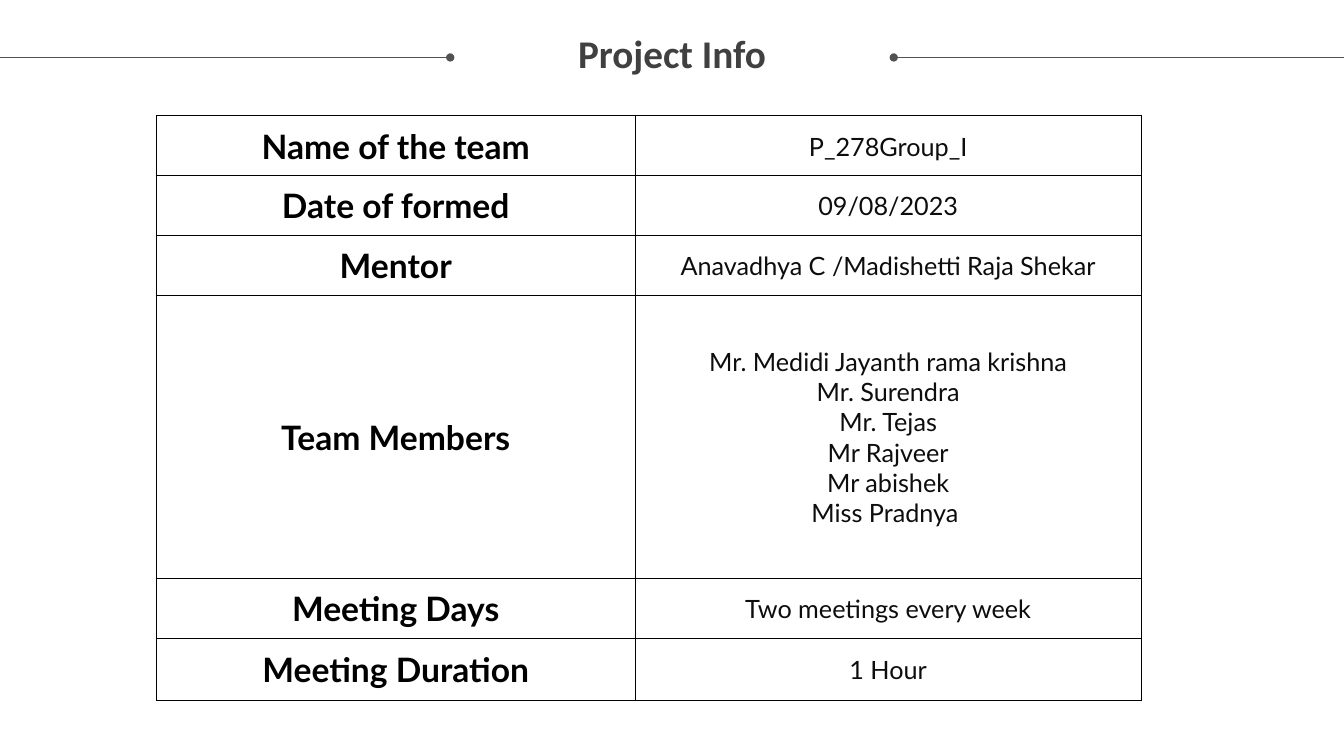
from lxml.etree import SubElement
from pptx import Presentation
from pptx.dml.color import RGBColor
from pptx.enum.shapes import MSO_CONNECTOR
from pptx.enum.text import MSO_ANCHOR, MSO_AUTO_SIZE, PP_ALIGN
from pptx.oxml import parse_xml
from pptx.oxml.ns import nsdecls, qn
from pptx.util import Inches, Pt


def color(hex_string):
    return RGBColor.from_string(hex_string)


class SlideBuilder:
    """Holds the style and the slide; lengths are percent of the slide's size."""
    TITLE_FONT, BODY_FONT = "Calibri", "Lato"
    TITLE, RULE, LABEL, VALUE, BORDER = "404040", "525252", "000000", "0D0D0D", "000000"

    def __init__(self, prs):
        self.prs = prs
        self.s = prs.slides.add_slide(prs.slide_layouts[6])

    def x(self, share):
        return round(self.prs.slide_width * share / 100)

    def y(self, share):
        return round(self.prs.slide_height * share / 100)

    def run(self, p, text, font, size, hex_string, bold):
        r = p.add_run()
        r.text = text
        r.font.name, r.font.size, r.font.bold = font, Pt(size), bold
        r.font.color.rgb = color(hex_string)

    def title(self, text, left, top, width, height):
        tf = self.s.shapes.add_textbox(
            self.x(left), self.y(top), self.x(width), self.y(height)).text_frame
        tf.word_wrap = True
        tf.auto_size = MSO_AUTO_SIZE.SHAPE_TO_FIT_TEXT
        tf.margin_left = tf.margin_top = tf.margin_right = tf.margin_bottom = 0
        p = tf.paragraphs[0]
        p.alignment, p.line_spacing = PP_ALIGN.CENTER, 0.9
        self.run(p, text, self.TITLE_FONT, 28, self.TITLE, True)

    def rule(self, start, end, top, dot):
        line = self.s.shapes.add_connector(
            MSO_CONNECTOR.STRAIGHT, self.x(start), self.y(top), self.x(end), self.y(top))
        line.line.color.rgb = color(self.RULE)
        line.line.width = Pt(0.5)
        SubElement(line.line._get_or_add_ln(), qn(f"a:{dot}"), type="oval")
        SubElement(line._element.spPr, qn("a:effectLst"))

    def borders(self, cell, widths):
        tcPr = cell._tc.get_or_add_tcPr()
        for i, (side, width) in enumerate(zip("LRTB", widths)):
            tcPr.insert(i, parse_xml(
                f'<a:ln{side} {nsdecls("a")} w="{Pt(width)}"><a:solidFill>'
                f'<a:srgbClr val="{self.BORDER}"/></a:solidFill></a:ln{side}>'))

    def fill_cell(self, cell, paragraphs, size, hex_string, bold):
        cell.fill.background()
        cell.vertical_anchor = MSO_ANCHOR.MIDDLE
        cell.margin_left = cell.margin_top = cell.margin_right = Inches(0.01)
        cell.margin_bottom = 0
        tf = cell.text_frame
        for i, lines in enumerate(paragraphs):
            p = tf.add_paragraph() if i else tf.paragraphs[0]
            p.alignment = PP_ALIGN.CENTER
            for j, line in enumerate(lines.split("\n")):
                if j:
                    p.add_line_break()
                self.run(p, line, self.BODY_FONT, size, hex_string, bold)

    def table(self, rows, left, top, columns, heights):
        table = self.s.shapes.add_table(
            len(rows), len(columns), self.x(left), self.y(top),
            self.x(sum(columns)), self.y(sum(heights))).table
        table.first_row = table.horz_banding = False
        for column, width in zip(table.columns, columns):
            column.width = self.x(width)
        last = len(rows) - 1
        for i, (label, *values) in enumerate(rows):
            table.rows[i].height = self.y(heights[i])
            name, value = table.cell(i, 0), table.cell(i, 1)
            self.fill_cell(name, [label], 24, self.LABEL, True)
            self.fill_cell(value, values, 18, self.VALUE, False)
            # Outer edges are heavier than inner ones
            above, below = 1 if i == 0 else 0.5, 1 if i == last else 0.5
            self.borders(name, (1, 0.5, above, below))
            self.borders(value, (0.5, 1, above, below))


def main():
    prs = Presentation()
    prs.slide_width, prs.slide_height = Inches(13.33), Inches(7.5)
    slide = SlideBuilder(prs)

    # Project facts: a label, then the paragraphs of its value
    facts = [
        ("Name of the team", "P_278Group_I"),
        ("Date of formed", "09/08/2023"),
        ("Mentor", "Anavadhya C /Madishetti Raja Shekar"),
        ("Team Members",
         "Mr. Medidi Jayanth rama krishna\nMr. Surendra\nMr. Tejas\nMr Rajveer",
         "Mr abishek", "Miss Pradnya "),
        ("Meeting Days", "Two meetings every week"),
        ("Meeting Duration", "1 Hour"),
    ]
    slide.table(facts, 11.63, 15.33, (35.63, 37.65), (7.9, 7.9, 7.9, 37.5, 7.9, 8.27))

    # Title between two dotted rules
    slide.rule(0, 33.5, 7.6, "tailEnd")
    slide.title("Project Info", 1.88, 4.53, 96.24, 5.6)
    slide.rule(66.5, 100, 7.6, "headEnd")

    prs.save("out.pptx")


if __name__ == "__main__":
    main()
